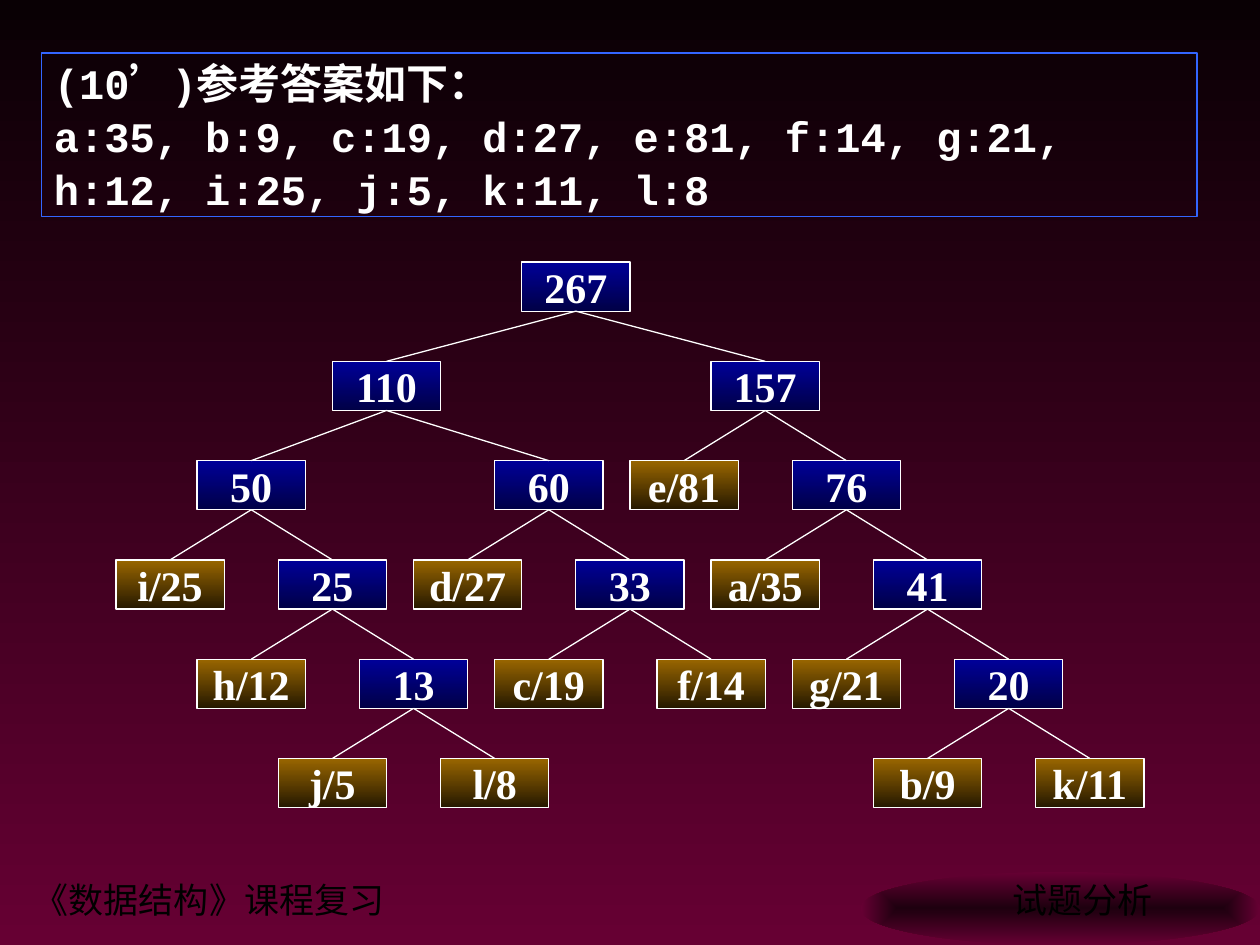
"""Build a slide showing a Huffman tree answer with its letter weights."""
from dataclasses import dataclass

from lxml import etree
from pptx import Presentation
from pptx import util as u
from pptx.dml.color import RGBColor
from pptx.enum import shapes, text
from pptx.oxml import ns

WHITE, BLACK = "FFFFFF", "000000"
BRANCH_COLORS, LEAF_COLORS = ("000099", "000046"), ("996600", "251800")
TREE_LEFT, TREE_TOP = 0.92, 2.08
COLUMN_STEP, ROW_STEP = 7.3 / 34, 3.94 / 5
NODE_WIDTH, NODE_HEIGHT = 0.86, 0.39


@dataclass(frozen=True)
class Node:
    label: str
    column: int
    row: int
    parent: str = ""


NODES = [
    Node("267", 15, 0),
    Node("110", 8, 1, "267"), Node("157", 22, 1, "267"),
    Node("50", 3, 2, "110"), Node("60", 14, 2, "110"),
    Node("e/81", 19, 2, "157"), Node("76", 25, 2, "157"),
    Node("i/25", 0, 3, "50"), Node("25", 6, 3, "50"),
    Node("d/27", 11, 3, "60"), Node("33", 17, 3, "60"),
    Node("a/35", 22, 3, "76"), Node("41", 28, 3, "76"),
    Node("h/12", 3, 4, "25"), Node("13", 9, 4, "25"),
    Node("c/19", 14, 4, "33"), Node("f/14", 20, 4, "33"),
    Node("g/21", 25, 4, "41"), Node("20", 31, 4, "41"),
    Node("j/5", 6, 5, "13"), Node("l/8", 12, 5, "13"),
    Node("b/9", 28, 5, "20"), Node("k/11", 34, 5, "20"),
]


def rgb(value: str) -> RGBColor:
    return RGBColor.from_string(value)


def place(left: float, top: float, width: float, height: float) -> list[u.Length]:
    return [u.Inches(value) for value in (left, top, width, height)]


def fill_gradient(fill, colors: tuple[str, str]) -> None:
    fill.gradient()
    fill.gradient_angle = 270
    for stop, color, position in zip(fill.gradient_stops, colors, (0, 1)):
        stop.color.rgb = rgb(color)
        stop.position = position


def write(shape, lines: list[str], color: str, alignment=None, spacing=None, **formats) -> None:
    frame = shape.text_frame
    frame.word_wrap = True
    frame.text = "\n".join(lines)
    for paragraph in frame.paragraphs:
        paragraph.alignment = alignment or text.PP_ALIGN.LEFT
        paragraph.line_spacing = spacing
        paragraph.font.color.rgb = rgb(color)
        for name, value in formats.items():
            setattr(paragraph.font, name, value)


def add_outlined_box(slide, box: list[u.Length], color: str, width: float):
    shape = slide.shapes.add_shape(shapes.MSO_SHAPE.RECTANGLE, *box)
    shape.shadow.inherit = False
    shape.fill.background()
    shape.line.color.rgb = rgb(color)
    shape.line.width = u.Pt(width)
    return shape


def add_node(slide, node: Node):
    left = TREE_LEFT + node.column * COLUMN_STEP
    top = TREE_TOP + node.row * ROW_STEP
    shape = add_outlined_box(slide, place(left, top, NODE_WIDTH, NODE_HEIGHT), WHITE, 0.75)
    fill_gradient(shape.fill, LEAF_COLORS if "/" in node.label else BRANCH_COLORS)
    for side in ("left", "top", "right", "bottom"):
        setattr(shape.text_frame, f"margin_{side}", 0)
    write(shape, [node.label], WHITE, text.PP_ALIGN.CENTER,
          name="Times New Roman", size=u.Pt(24), bold=True)
    return shape


def add_edge(slide, parent, child) -> None:
    connector = slide.shapes.add_connector(shapes.MSO_CONNECTOR.STRAIGHT, 0, 0, 0, 0)
    connector.begin_connect(parent, 2)
    connector.end_connect(child, 0)
    connector.line.color.rgb = rgb(WHITE)
    connector.line.width = u.Pt(0.75)
    etree.SubElement(connector._element.spPr, ns.qn("a:effectLst"))


def add_glow(slide) -> None:
    ellipse = slide.shapes.add_shape(shapes.MSO_SHAPE.OVAL, *place(6.83, 6.92, 3.17, 0.58))
    ellipse.shadow.inherit = False
    ellipse.line.fill.background()
    fill_gradient(ellipse.fill, ("1E000F", "660033"))
    gradient = ellipse._element.spPr.find(ns.qn("a:gradFill"))
    linear = gradient.find(ns.qn("a:lin"))
    shade = etree.Element(ns.qn("a:path"), {"path": "rect"})
    etree.SubElement(shade, ns.qn("a:fillToRect"), dict.fromkeys("ltrb", "50000"))
    gradient.replace(linear, shade)


def add_footer(slide, left: float, width: float, wording: str) -> None:
    box = slide.shapes.add_textbox(*place(left, 6.92, width, 0.44))
    write(box, [wording], BLACK, name="Times New Roman", size=u.Pt(20))


def main() -> None:
    presentation = Presentation()
    presentation.slide_width, presentation.slide_height = u.Inches(10), u.Inches(7.5)
    slide = presentation.slides.add_slide(presentation.slide_layouts[6])
    fill_gradient(slide.background.fill, ("090004", "660033"))

    add_footer(slide, 0.17, 6.6, "《数据结构》课程复习")
    add_glow(slide)
    add_footer(slide, 7.94, 1.5, "试题分析")

    answer = add_outlined_box(slide, place(0.33, 0.42, 9.17, 1.3), "3366FF", 1)
    write(answer, ["(10’)参考答案如下：",
                   "a:35, b:9, c:19, d:27, e:81, f:14, g:21, h:12, i:25, j:5, k:11, l:8"],
          WHITE, spacing=1.05, name="Courier New", size=u.Pt(24), bold=True)

    boxes = {node.label: add_node(slide, node) for node in NODES}
    for node in NODES:
        if node.parent:
            add_edge(slide, boxes[node.parent], boxes[node.label])

    presentation.save("out.pptx")


if __name__ == "__main__":
    main()
